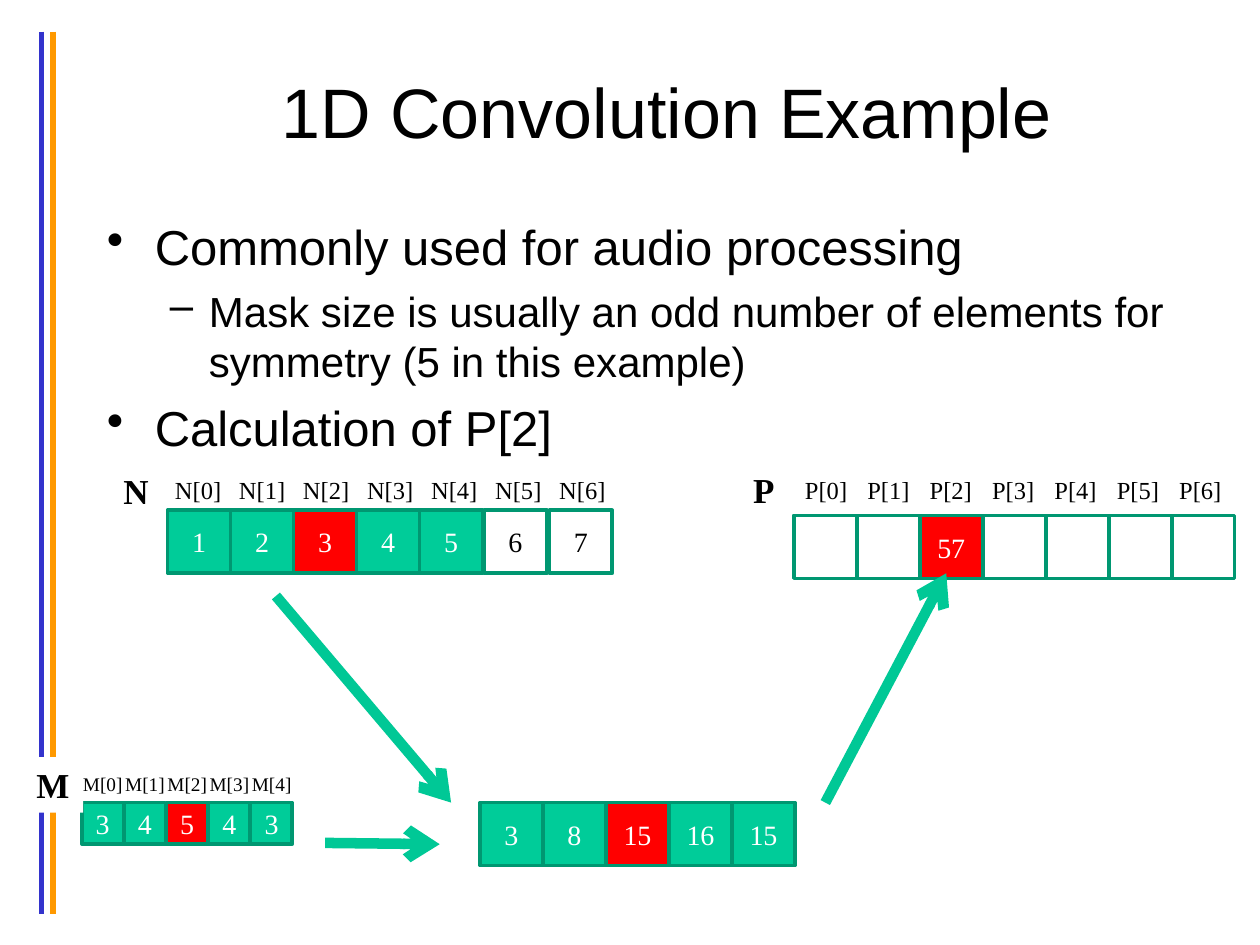
import pptx
import pptx.util
import pptx.dml.color
import pptx.enum.shapes
import pptx.enum.text
import pptx.oxml.ns
import lxml.etree

Inches = pptx.util.Inches
Pt = pptx.util.Pt
RGBColor = pptx.dml.color.RGBColor
Align = pptx.enum.text.PP_ALIGN
Anchor = pptx.enum.text.MSO_ANCHOR
qn = pptx.oxml.ns.qn

BLACK = RGBColor(0x00, 0x00, 0x00)
WHITE = RGBColor(0xFF, 0xFF, 0xFF)
RED = RGBColor(0xFF, 0x00, 0x00)
GREEN = RGBColor(0x00, 0xCC, 0x99)
DARK_GREEN = RGBColor(0x00, 0x97, 0x71)
ARROW_GREEN = RGBColor(0x00, 0xC8, 0x96)
BLUE = RGBColor(0x33, 0x33, 0xCC)
ORANGE = RGBColor(0xFF, 0x99, 0x00)


class SlideBuilder:
    sans = "Arial"
    serif = "Times New Roman"

    def __init__(self, page):
        self.page = page

    def place(self, box, left, top, width, height):
        bounds = {"left": left, "top": top, "width": width, "height": height}
        for name, value in bounds.items():
            setattr(box, name, Inches(value))

    def add_span(self, para, text, size, color=BLACK, font=None, bold=False):
        span = para.add_run()
        span.text = text
        span.font.color.rgb = color
        style = {"name": font or self.serif, "size": Pt(size), "bold": bold}
        for name, value in style.items():
            setattr(span.font, name, value)

    def title(self, text, *bounds):
        box = self.page.shapes.title
        self.place(box, *bounds)
        box.text_frame.vertical_anchor = Anchor.MIDDLE
        para = box.text_frame.paragraphs[0]
        para.alignment = Align.CENTER
        self.add_span(para, text, 40, font=self.sans)

    def bullets(self, items, *bounds):
        box = self.page.shapes.add_textbox(*map(Inches, bounds))
        frame = box.text_frame
        frame.word_wrap = True
        levels = [(28, 6.4, 0.38, -0.38, "•"), (24, 5.5, 0.81, -0.31, "–")]
        for index, (level, text) in enumerate(items):
            size, gap, margin, indent, mark = levels[level]
            para = frame.add_paragraph() if index else frame.paragraphs[0]
            para.level = level
            para.space_before = Pt(gap)
            self.add_span(para, text, size, font=self.sans)
            properties = para._p.get_or_add_pPr()
            properties.set("marL", str(Inches(margin)))
            properties.set("indent", str(Inches(indent)))
            bullet = lxml.etree.SubElement(properties, qn("a:buChar"))
            bullet.set("char", mark)

    def line(self, start, end, color, width, arrow=False):
        connector = self.page.shapes.add_connector(
            pptx.enum.shapes.MSO_CONNECTOR.STRAIGHT, *map(Inches, start + end))
        connector.line.color.rgb = color
        connector.line.width = Pt(width)
        if arrow:
            outline = connector._element.spPr.find(qn("a:ln"))
            head = lxml.etree.SubElement(outline, qn("a:tailEnd"))
            head.set("type", "arrow")
        lxml.etree.SubElement(connector._element.spPr, qn("a:effectLst"))

    def cell(self, text, fill, left, top, side):
        box = self.page.shapes.add_shape(
            pptx.enum.shapes.MSO_SHAPE.RECTANGLE, *map(Inches, (left, top, side, side)))
        box.shadow.inherit = False
        if fill is None:
            box.fill.background()
        else:
            box.fill.solid()
            box.fill.fore_color.rgb = fill
        box.line.color.rgb = DARK_GREEN
        box.line.width = Pt(2)
        frame = box.text_frame
        layout = {"vertical_anchor": Anchor.MIDDLE, "margin_left": 0, "margin_right": 0}
        for name, value in layout.items():
            setattr(frame, name, value)
        if text:
            para = frame.paragraphs[0]
            para.alignment = Align.CENTER
            self.add_span(para, text, 16, WHITE if fill in (GREEN, RED) else BLACK)

    def row(self, values, fills, left, top, side, pitch):
        for index, (value, fill) in enumerate(zip(values, fills)):
            self.cell(value, fill, left + index * pitch, top, side)

    def label(self, text, size, left, top, width, height, bold=False, fill=None):
        box = self.page.shapes.add_textbox(*map(Inches, (left, top, width, height)))
        box.text_frame.word_wrap = False
        box.text_frame.auto_size = pptx.enum.text.MSO_AUTO_SIZE.SHAPE_TO_FIT_TEXT
        if fill is not None:
            box.fill.solid()
            box.fill.fore_color.rgb = fill
        self.add_span(box.text_frame.paragraphs[0], text, size, bold=bold)

    def indices(self, array, count, size, left, top, width, height, pitch):
        for index in range(count):
            self.label(f"{array}[{index}]", size, left + index * pitch, top, width, height)


deck = pptx.Presentation()
deck.slide_width = Inches(10)
deck.slide_height = Inches(7.5)
slide = SlideBuilder(deck.slides.add_slide(deck.slide_layouts[5]))

for x, color in ((0.33, BLUE), (0.42, ORANGE)):
    slide.line((x, 0.25), (x, 7.25), color, 3)

slide.title("1D Convolution Example", 0.75, 0.25, 9.08, 1.25)
slide.bullets([
    (0, "Commonly used for audio processing"),
    (1, "Mask size is usually an odd number of elements for symmetry (5 in this example)"),
    (0, "Calculation of P[2]"),
], 0.75, 1.67, 9.08, 1.99)

window = [GREEN, GREEN, RED, GREEN, GREEN]
mask_pitch = 1.34 / 4
slide.row("34543", window, 0.65, 6.37, 0.33, mask_pitch)
slide.row(["3", "8", "15", "16", "15"], window, 3.81, 6.37, 0.5, 0.5)
slide.row("12345", window, 1.33, 4.05, 0.5, 0.5)
slide.row("67", [WHITE, None], 3.84, 4.05, 0.5, 0.52)
slide.row(["", "", "57", "", "", "", ""], [None, None, RED] + [None] * 4, 6.3, 4.09, 0.5, 0.5)

for start, end in (
    ((2.58, 6.69), (3.49, 6.7)),
    ((6.55, 6.37), (7.51, 4.55)),
    ((2.19, 4.73), (3.58, 6.37)),
):
    slide.line(start, end, ARROW_GREEN, 6, arrow=True)

slide.indices("N", 7, 14, 1.29, 3.72, 0.57, 0.34, 3.05 / 6)
slide.indices("M", 5, 11, 0.56, 6.08, 0.52, 0.29, mask_pitch)
slide.indices("P", 7, 14, 6.29, 3.72, 0.55, 0.34, 2.97 / 6)
slide.label("N", 20, 0.88, 3.68, 0.41, 0.44, bold=True)
slide.label("P", 20, 5.88, 3.67, 0.37, 0.44, bold=True)
slide.label("M", 20, 0.19, 6.01, 0.47, 0.44, bold=True, fill=WHITE)

deck.save("out.pptx")
